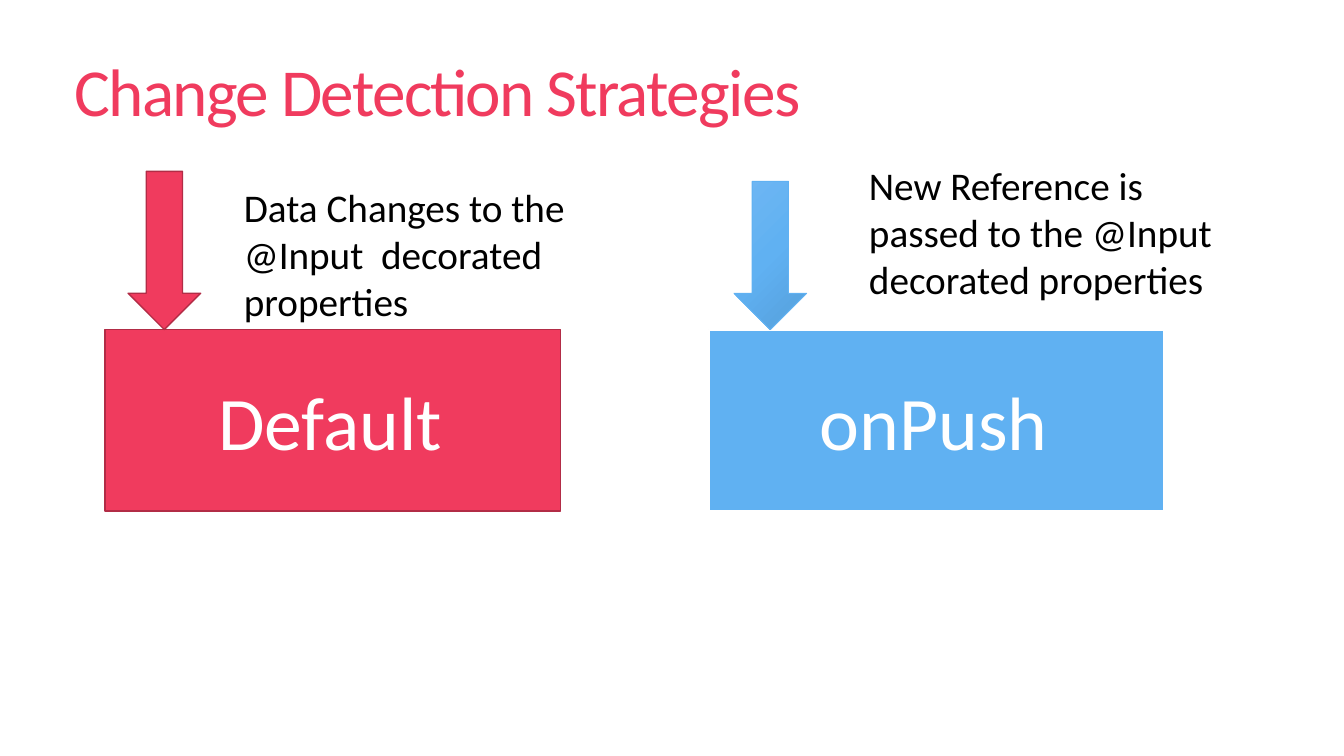
from copy import deepcopy

from pptx import Presentation
from pptx.dml.color import RGBColor
from pptx.enum.shapes import MSO_SHAPE as SHAPE
from pptx.enum.text import MSO_ANCHOR as ANCHOR, PP_ALIGN as ALIGN
from pptx.oxml.ns import qn
from pptx.util import Inches, Pt

FONT = "Calibri"
COLORS = {
    "red": "F03B5E", "dark red": "B22C46",
    "blue": "60B1F2", "light blue": "70B7F3", "dark blue": "559FDB",
    "white": "FFFFFF", "black": "000000",
}


def rgb(name):
    return RGBColor.from_string(COLORS[name])


def style_run(r, size, color):
    r.font.name = FONT
    r.font.size = Pt(size)
    r.font.color.rgb = rgb(color)


def add_text(s, box, text, size, color):
    tb = s.shapes.add_textbox(*map(Inches, box))
    tf = tb.text_frame
    tf.word_wrap = True
    tf.text = text
    style_run(tf.paragraphs[0].runs[0], size, color)
    return tf


def add_block(s, kind, box, fill, line, width):
    sp = s.shapes.add_shape(kind, *map(Inches, box))
    sp.shadow.inherit = False
    sp.fill.solid()
    sp.fill.fore_color.rgb = rgb(fill)
    sp.line.color.rgb = rgb(line)
    sp.line.width = Pt(width)
    return sp


def shade(sp, names):
    """Fill with a diagonal gradient of three evenly spaced colours."""
    sp.fill.gradient()
    sp.fill.gradient_angle = 315
    stops = sp._element.spPr.find(qn("a:gradFill")).find(qn("a:gsLst"))
    stops.append(deepcopy(stops[-1]))
    for i, (stop, name) in enumerate(zip(sp.fill.gradient_stops, names)):
        stop.color.rgb = rgb(name)
        stop.position = i / 2


def add_title(s, box, text):
    tf = add_text(s, box, text, 48, "red")
    tf.vertical_anchor = ANCHOR.MIDDLE
    p = tf.paragraphs[0]
    p.line_spacing = 0.85
    p.runs[0]._r.get_or_add_rPr().set("spc", "-120")


def add_strategy(s, box, name, fill, line, width, arrow, note):
    """Draw a named box with an arrow into its top edge and a note above it.

    arrow is (offset, height, line colour, line width); note is (dx, dy, w, h, text).
    """
    x, y, w, h = box
    sp = add_block(s, SHAPE.RECTANGLE, box, fill, line, width)
    tf = sp.text_frame
    tf.vertical_anchor = ANCHOR.MIDDLE
    tf.text = name
    p = tf.paragraphs[0]
    p.alignment = ALIGN.CENTER
    p.add_run().text = " "
    for r, size in zip(p.runs, (54, 18)):
        style_run(r, size, "white")

    dx, length, edge, edge_width = arrow
    down = add_block(s, SHAPE.DOWN_ARROW, (x + dx, y - length, 0.72, length),
                     fill, edge, edge_width)

    dx, dy, note_w, note_h, text = note
    add_text(s, (x + dx, y + dy, note_w, note_h), text, 28, "black")
    return down


def main():
    prs = Presentation()
    prs.slide_width, prs.slide_height = Inches(13.33), Inches(7.5)
    s = prs.slides.add_slide(prs.slide_layouts[6])

    add_title(s, (0.64, 0.22, 11.42, 1.47), "Change Detection Strategies")
    add_strategy(
        s, (1.04, 3.27, 4.52, 1.8), "Default", "red", "dark red", 1,
        arrow=(0.23, 1.57, "dark red", 1),
        note=(1.28, -1.5, 3.66, 1.57,
              "Data Changes to the @Input  decorated properties"))
    push_arrow = add_strategy(
        s, (7.03, 3.27, 4.52, 1.8), "onPush", "blue", "white", 1.5,
        arrow=(0.25, 1.47, "blue", 0.75),
        note=(1.49, -1.72, 3.88, 1.51,
              "New Reference is passed to the @Input  decorated properties"))
    shade(push_arrow, ("light blue", "blue", "dark blue"))

    prs.save("out.pptx")


if __name__ == "__main__":
    main()
